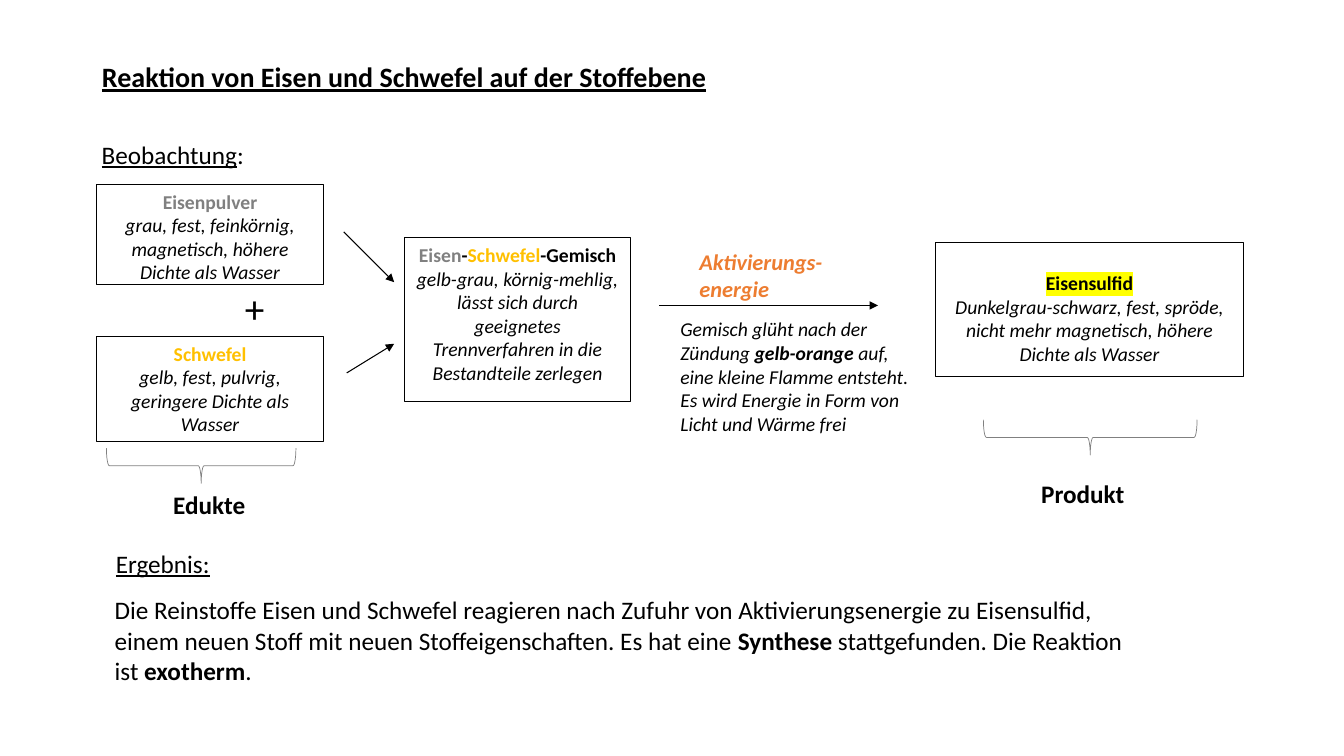
"""Builds the slide on the reaction of iron and sulfur at substance level."""
from dataclasses import dataclass

from lxml.etree import SubElement
from pptx import Presentation
from pptx.dml.color import RGBColor
from pptx.enum.shapes import MSO_CONNECTOR as Line, MSO_SHAPE as Shape
from pptx.enum.text import MSO_ANCHOR as Anchor, MSO_AUTO_SIZE as Fit, PP_ALIGN as Align
from pptx.oxml.ns import qn
from pptx.util import Emu, Inches, Pt

FONT = "Calibri"
BLACK, WHITE, GREY = "000000", "FFFFFF", "808080"
GOLD, ORANGE, YELLOW = "FFC000", "ED7D31", "FFFF00"
WIDTH, HEIGHT = Inches(13.33), Inches(7.5)
BOX_W, LABEL_H, BRACE_W, BIG_H = 16.87, 5.33, 2.63, 17.73


@dataclass
class Run:
    """A piece of text with what sets it apart from its paragraph."""
    text: str
    color: str | None = None
    bold: bool | None = None
    underline: bool | None = None
    highlight: str | None = None


@dataclass
class Para:
    """A paragraph with the format its runs share."""
    runs: list[Run]
    size: int = 18
    color: str = BLACK
    bold: bool = False
    italic: bool = False
    underline: bool = False
    align: Align = Align.LEFT


@dataclass
class Frame:
    """A rectangle in percent of the slide's width and height."""
    x: float
    y: float
    w: float
    h: float

    def emu(self) -> tuple[Emu, Emu, Emu, Emu]:
        """Give left, top, width and height."""
        return across(self.x), down(self.y), across(self.w), down(self.h)


@dataclass
class Panel:
    """A white rectangle with text, outlined or not."""
    frame: Frame
    paras: list[Para]
    outlined: bool = True
    inset: float = 0.05


@dataclass
class Label:
    """A text box."""
    frame: Frame
    para: Para
    wrap: bool = True
    anchor: Anchor = Anchor.TOP


@dataclass
class Arrow:
    """A straight arrow in percent of the slide."""
    x1: float
    y1: float
    x2: float
    y2: float


def across(share: float) -> Emu:
    """Turn a percentage of the width into a length."""
    return Emu(round(WIDTH * share / 100))


def down(share: float) -> Emu:
    """Turn a percentage of the height into a length."""
    return Emu(round(HEIGHT * share / 100))


def rgb(value: str) -> RGBColor:
    """Turn a hex string into a colour."""
    return RGBColor.from_string(value)


def substance(names: list[Run], traits: str) -> list[Para]:
    """Give a bold name line and an italic line of properties, centred."""
    return [Para(names, 14, bold=True, align=Align.CENTER),
            Para([Run(traits)], 14, italic=True, align=Align.CENTER)]


def write(tf, paras: list[Para]) -> None:
    """Fill a text frame with paragraphs."""
    for i, para in enumerate(paras):
        p = tf.add_paragraph() if i else tf.paragraphs[0]
        p.alignment = para.align
        p.font.name, p.font.size = FONT, Pt(para.size)
        p.font.bold, p.font.italic = para.bold, para.italic
        p.font.underline = para.underline
        p.font.color.rgb = rgb(para.color)
        for run in para.runs:
            r = p.add_run()
            r.text = run.text
            r.font.bold, r.font.underline = run.bold, run.underline
            if run.color:
                r.font.color.rgb = rgb(run.color)
            if run.highlight:
                mark = SubElement(r.font._element, qn("a:highlight"))
                SubElement(mark, qn("a:srgbClr"), val=run.highlight)


def draw_panel(s, panel: Panel) -> None:
    """Draw a white rectangle with its text."""
    sp = s.shapes.add_shape(Shape.RECTANGLE, *panel.frame.emu())
    sp.shadow.inherit = False
    sp.fill.solid()
    sp.fill.fore_color.rgb = rgb(WHITE)
    if panel.outlined:
        sp.line.color.rgb, sp.line.width = rgb(BLACK), Pt(0.75)
    else:
        sp.line.fill.background()
    tf = sp.text_frame
    tf.word_wrap, tf.vertical_anchor = True, Anchor.TOP
    tf.margin_top = Inches(panel.inset)
    write(tf, panel.paras)


def draw_label(s, label: Label) -> None:
    """Draw a text box."""
    tf = s.shapes.add_textbox(*label.frame.emu()).text_frame
    tf.word_wrap, tf.vertical_anchor = label.wrap, label.anchor
    tf.auto_size = Fit.SHAPE_TO_FIT_TEXT
    write(tf, [label.para])


def draw_arrow(s, arrow: Arrow) -> None:
    """Draw an arrow with a triangular head."""
    c = s.shapes.add_connector(Line.STRAIGHT, across(arrow.x1), down(arrow.y1),
                               across(arrow.x2), down(arrow.y2))
    c.line.color.rgb, c.line.width = rgb(BLACK), Pt(0.75)
    SubElement(c.line._get_or_add_ln(), qn("a:tailEnd"), type="triangle")
    SubElement(c._element.spPr, qn("a:effectLst"))


def draw_brace(s, frame: Frame) -> None:
    """Draw a brace that points down."""
    sp = s.shapes.add_shape(Shape.RIGHT_BRACE, *frame.emu())
    sp.rotation = 90
    sp.shadow.inherit = False
    sp.fill.background()
    sp.line.color.rgb, sp.line.width = rgb(GREY), Pt(0.5)


def draw_title(s, frame: Frame, para: Para) -> None:
    """Place and fill the title."""
    sp = s.shapes.title
    sp.left, sp.top, sp.width, sp.height = frame.emu()
    tf = sp.text_frame
    tf.word_wrap, tf.vertical_anchor = True, Anchor.TOP
    write(tf, [para])


PANELS = [
    Panel(Frame(51.3, 32.13, 11.85, 3.47),
          [Para([Run("Aktivierungs-energie")], 16, ORANGE, True, True)], False),
    Panel(Frame(7.2, 44.53, BOX_W, 13.87), substance(
        [Run("Schwefel", GOLD)], "gelb, fest, pulvrig, geringere Dichte als Wasser")),
    Panel(Frame(7.2, 24.4, BOX_W, 13.2), substance(
        [Run("Eisenpulver", GREY)],
        "grau, fest, feinkörnig, magnetisch, höhere Dichte als Wasser")),
    Panel(Frame(30.08, 31.47, BOX_W, 21.6), substance(
        [Run("Eisen", GREY), Run("-"), Run("Schwefel", GOLD), Run("-Gemisch")],
        "gelb-grau, körnig-mehlig, lässt sich durch geeignetes "
        "Trennverfahren in die Bestandteile zerlegen")),
    Panel(Frame(69.6, 32.13, 22.95, BIG_H), substance(
        [Run("Eisensulfid", highlight=YELLOW)],
        "Dunkelgrau-schwarz, fest, spröde, nicht mehr magnetisch, "
        "höhere Dichte als Wasser"), inset=0.28),
    Panel(Frame(49.88, 41.33, 19.13, BIG_H), [Para(
        [Run("Gemisch glüht nach der Zündung "), Run("gelb-orange", bold=True),
         Run(" auf, eine kleine Flamme entsteht. Es wird Energie in Form von "
             "Licht und Wärme frei")], 14, italic=True)], False),
]
ARROWS = [Arrow(49.05, 40.4, 65.33, 40.4), Arrow(25.58, 30.67, 29.33, 37.33),
          Arrow(25.8, 49.33, 29.33, 45.47)]
BRACES = [Frame(13.65, 49.07, BRACE_W, 25.07), Frame(79.8, 43.73, BRACE_W, 28.27)]
LABELS = [
    Label(Frame(6.83, 17.73, 12.23, LABEL_H),
          Para([Run("Beobachtung", underline=True), Run(":")]), False, Anchor.MIDDLE),
    Label(Frame(17.48, 36.93, 3.23, 7.6), Para([Run("+")], 28)),
    Label(Frame(7.88, 71.87, 8.55, LABEL_H),
          Para([Run("Ergebnis:")], underline=True), False, Anchor.MIDDLE),
    Label(Frame(7.8, 78, 78.08, 13.47), Para(
        [Run("Die Reinstoffe Eisen und Schwefel reagieren nach Zufuhr von "
             "Aktivierungsenergie zu Eisensulfid, einem neuen Stoff mit neuen "
             "Stoffeigenschaften. Es hat eine "), Run("Synthese", bold=True),
         Run(" stattgefunden. Die Reaktion ist "), Run("exotherm", bold=True), Run(".")])),
    Label(Frame(12.15, 64.13, 10.35, LABEL_H), Para([Run("Edukte")], bold=True)),
    Label(Frame(76.73, 62.67, 11.1, LABEL_H), Para([Run("Produkt")], bold=True)),
]


def main() -> None:
    """Build and save the slide."""
    prs = Presentation()
    prs.slide_width, prs.slide_height = WIDTH, HEIGHT
    s = prs.slides.add_slide(prs.slide_layouts[5])
    draw_title(s, Frame(6.83, 7.2, 59.85, 5.87), Para(
        [Run("Reaktion von Eisen und Schwefel auf der Stoffebene")],
        20, bold=True, underline=True))
    for draw, items in ((draw_panel, PANELS), (draw_arrow, ARROWS),
                        (draw_label, LABELS), (draw_brace, BRACES)):
        for item in items:
            draw(s, item)
    prs.save("out.pptx")


if __name__ == "__main__":
    main()
